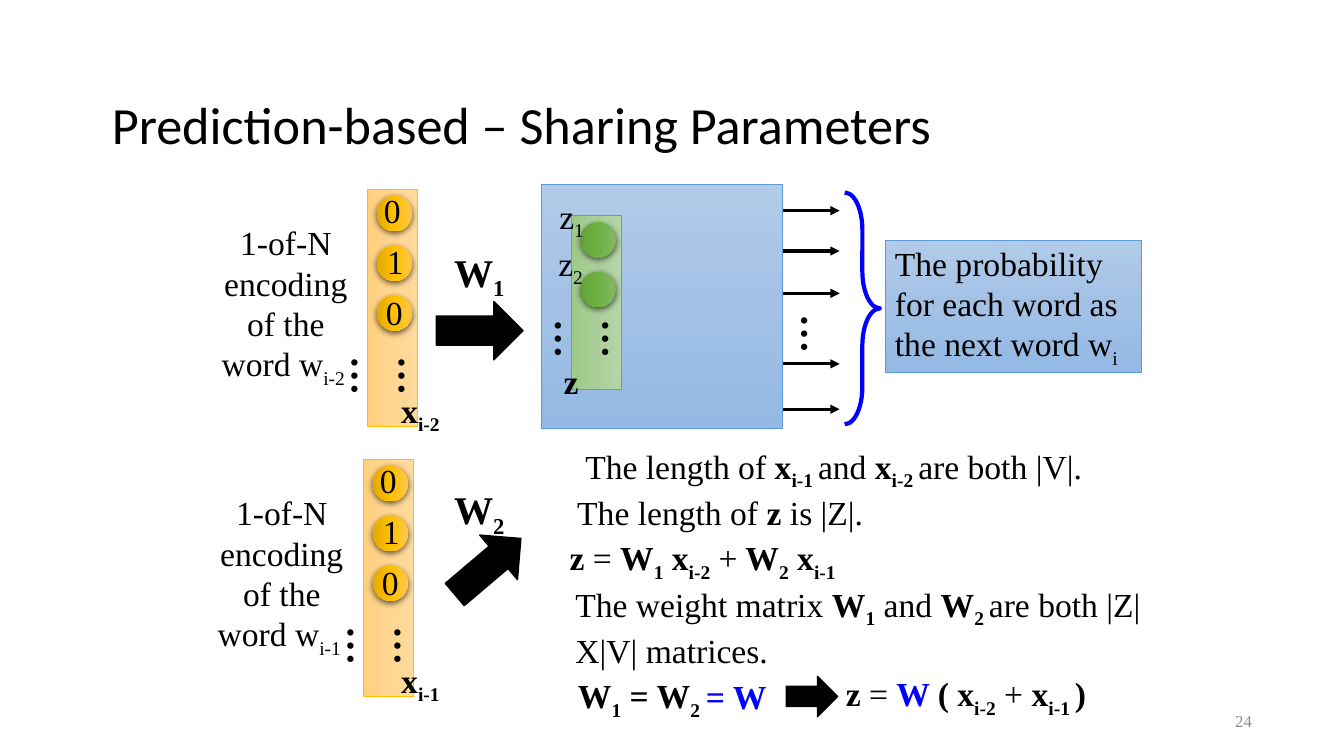
"""Build the slide on sharing parameters in prediction-based word embedding."""
from copy import deepcopy
from dataclasses import dataclass
from itertools import groupby
from typing import Iterator

from lxml import etree
from pptx import Presentation
from pptx import util as u
from pptx.dml.color import RGBColor
from pptx.enum import shapes, text
from pptx.oxml.ns import qn

COLUMNS, ROWS = 133.33, 75
CELL = u.Inches(0.1)
SERIF = "Times New Roman"
BLACK, BLUE = "000000", "0000FF"
BOLD, SUBSCRIPT, ACCENT = "*", "~", "^"
CIRCLE_STEP = 4.93
Kind = shapes.MSO_SHAPE
Align = text.PP_ALIGN


@dataclass(frozen=True)
class Box:
    left: float
    top: float
    cols: float
    rows: float

    def lengths(self) -> list[int]:
        return [cells(n) for n in (self.left, self.top, self.cols, self.rows)]


@dataclass(frozen=True)
class Theme:
    fill: tuple[str, str, str]
    line: str | None = None


@dataclass(frozen=True)
class Label:
    box: Box
    markup: str
    size: float = 24
    align: Align = Align.CENTER
    color: str = BLACK
    font: str = SERIF
    turn: float = 0
    flush: bool = False


@dataclass(frozen=True)
class Arrow:
    box: Box
    turn: float = 0


@dataclass(frozen=True)
class Encoder:
    left: float
    top: float
    word: str


BLUE_PANEL = Theme(("B1CBE9", "A3C1E5", "93B9E4"), "5B9BD5")
ORANGE_BAR = Theme(("FFDB9E", "FFD590", "FFD07C"), "FFC000")
ORANGE_CIRCLE = Theme(("FFC64B", "FFC000", "E3AB00"))
GREEN_BAR = Theme(("B5D5A7", "AACE9A", "9CC987"), "70AD47")
GREEN_CIRCLE = Theme(("81B861", "6FB242", "62A336"))

TITLE = Label(Box(11.1, 9.4, 115, 5.7), "Prediction-based – Sharing Parameters",
              37.3, Align.LEFT, font="Calibri", flush=True)
OUTPUT_DOTS = Label(Box(78.2, 30.2, 5.7, 5.7), "*…", 28, Align.LEFT, turn=90)
OUTPUT_ROWS = (20.9, 24.9, 29.1, 36.1, 40.6)
ENCODERS = (Encoder(36.45, 18.75, "i-2"), Encoder(36.05, 45.55, "i-1"))
DIGITS = (("0", 0.65), ("1", 0.95), ("0", 0.85))
ARROWS = (
    Arrow(Box(43.3, 29.9, 8.6, 5.8)),
    Arrow(Box(44.1, 53.3, 8.6, 5.8), 319.7),
    Arrow(Box(78, 67.1, 5.1, 4)),
)
LABELS = (
    Label(Box(54.5, 18.9, 6, 5), "z~1", align=Align.LEFT),
    Label(Box(54.4, 23.6, 6, 5), "z~2", align=Align.LEFT),
    Label(Box(52.9, 35.3, 7.5, 5), "*z"),
    Label(Box(43.8, 24.1, 7.5, 5.7), "*W~1 ", 28),
    Label(Box(43.8, 47.7, 7.5, 5.7), "*W~2 ", 28),
    Label(Box(55.5, 43.7, 54.4, 5), "The length of *x~i-1 *~and* x~i-2 *~are both |V|."),
    Label(Box(55.3, 48.3, 32.3, 5), "The length of *z *is |Z|."),
    Label(Box(53.8, 52.8, 32.3, 5), "*z *= *W~1~ x~i-2~* +* W~2~ x~i-1 "),
    Label(Box(56.1, 57.4, 59.7, 9.1),
          "The weight matrix *W~1*~ and *W~2 *~are both |Z|X|V| matrices.", align=Align.LEFT),
    Label(Box(54.9, 66.5, 16.5, 5), "*~ ~W~1~ = W~2"),
    Label(Box(68, 66.6, 9.6, 5), "*~ ~= W", color=BLUE),
    Label(Box(80.1, 66.3, 32.3, 5), "*z *= *^W ^( x~i-2~* +* x~i-1 ~) "),
    Label(Box(94.2, 69.5, 30, 4), "24", 12, Align.RIGHT, "8C8C8C", flush=True),
)


def cells(count: float) -> int:
    return round(count * CELL)


def rgb(code: str) -> RGBColor:
    return RGBColor.from_string(code)


def split_markup(markup: str) -> Iterator[tuple[str, set[str]]]:
    style: set[str] = set()
    for is_mark, chars in groupby(markup, lambda char: char in BOLD + SUBSCRIPT + ACCENT):
        if is_mark:
            style = style ^ set(chars)
        else:
            yield "".join(chars), style


def write(shape, label: Label) -> None:
    frame = shape.text_frame
    frame.word_wrap = True
    if label.flush:
        frame.margin_left = frame.margin_right = frame.margin_top = frame.margin_bottom = 0
        frame.vertical_anchor = text.MSO_ANCHOR.MIDDLE
    for index, line in enumerate(label.markup.split("\n")):
        para = frame.paragraphs[0] if index == 0 else frame.add_paragraph()
        para.alignment = label.align
        para.font.name, para.font.size = label.font, u.Pt(label.size)
        para.font.color.rgb = rgb(label.color)
        for words, style in split_markup(line):
            span = para.add_run()
            span.text = words
            span.font.bold = BOLD in style
            span.font.color.rgb = rgb(BLUE if ACCENT in style else label.color)
            if SUBSCRIPT in style:
                span.font._element.set("baseline", "-25000")


def add_label(page, label: Label) -> None:
    shape = page.shapes.add_textbox(*label.box.lengths())
    shape.rotation = label.turn
    write(shape, label)


def add_gradient(page, kind: Kind, box: Box, theme: Theme, turn: float = 0):
    shape = page.shapes.add_shape(kind, *box.lengths())
    shape.rotation = turn
    shape.shadow.inherit = False
    shape.fill.gradient()
    shape.fill.gradient_angle = 270
    stop_list = shape._element.spPr.find(".//" + qn("a:gsLst"))
    stop_list.insert(1, deepcopy(stop_list[0]))
    for stop, color, position in zip(shape.fill.gradient_stops, theme.fill, (0, 0.5, 1)):
        stop.color.rgb, stop.position = rgb(color), position
    if theme.line:
        shape.line.color.rgb, shape.line.width = rgb(theme.line), u.Pt(0.5)
    else:
        shape.line.fill.background()
    return shape


def add_circle(page, box: Box, theme: Theme) -> None:
    circle = add_gradient(page, Kind.OVAL, box, theme, 90)
    effects = circle._element.spPr.find(qn("a:effectLst"))
    shadow = etree.SubElement(effects, qn("a:outerShdw"), blurRad=str(u.Pt(4.5)),
                              dist=str(u.Pt(1.5)), dir="5400000", rotWithShape="0")
    color = etree.SubElement(shadow, qn("a:srgbClr"), val=BLACK)
    etree.SubElement(color, qn("a:alpha"), val="63000")


def add_neurons(page, left: float, top: float, height: float, count: int,
                bar: Theme, circle: Theme) -> None:
    half = height / 2
    add_gradient(page, Kind.RECTANGLE, Box(left + 2.5 - half, top + half - 2.5, height, 5), bar, 90)
    for index in range(count):
        add_circle(page, Box(left + 0.95, top + 0.7 + CIRCLE_STEP * index, 3.5, 3.5), circle)
    add_label(page, Label(Box(left, top + height - 6.1, 9.3, 5.7), "*……", 28, Align.LEFT, turn=90))


def add_encoder(page, encoder: Encoder) -> None:
    left, top = encoder.left, encoder.top
    caption = f"1-of-N encoding\nof the word w~{encoder.word} "
    add_label(page, Label(Box(left - 16.65, top + 2.8, 17.1, 17.2), caption))
    add_neurons(page, left, top, 23.5, len(DIGITS), ORANGE_BAR, ORANGE_CIRCLE)
    for index, (digit, shift) in enumerate(DIGITS):
        box = Box(left + shift, top - 0.4 + 5.05 * index, 4.3, 5)
        add_label(page, Label(box, digit, align=Align.LEFT))
    add_label(page, Label(Box(38.2, top + 19.4, 7.5, 5), f"*x~{encoder.word} "))


def add_output_arrow(page, row: float) -> None:
    ends = [cells(n) for n in (75, row, 83.3, row)]
    line = page.shapes.add_connector(shapes.MSO_CONNECTOR.STRAIGHT, *ends)
    line.line.color.rgb, line.line.width = rgb(BLACK), u.Pt(2.25)
    etree.SubElement(line.line._get_or_add_ln(), qn("a:tailEnd"), type="triangle")
    etree.SubElement(line._element.spPr, qn("a:effectLst"))


def add_block_arrow(page, arrow: Arrow) -> None:
    shape = page.shapes.add_shape(Kind.RIGHT_ARROW, *arrow.box.lengths())
    shape.rotation = arrow.turn
    shape.shadow.inherit = False
    shape.fill.solid()
    shape.fill.fore_color.rgb = shape.line.color.rgb = rgb(BLACK)
    shape.line.width = u.Pt(1)


def add_outputs(page) -> None:
    brace = page.shapes.add_shape(Kind.RIGHT_BRACE, *Box(83.8, 19.1, 3.5, 23).lengths())
    brace.adjustments[0] = 1.05
    brace.shadow.inherit = False
    brace.fill.background()
    brace.line.color.rgb, brace.line.width = rgb(BLUE), u.Pt(3)
    for row in OUTPUT_ROWS:
        add_output_arrow(page, row)
    add_label(page, OUTPUT_DOTS)
    box = Box(87.8, 23.8, 25.4, 13.1)
    result = add_gradient(page, Kind.RECTANGLE, box, BLUE_PANEL)
    write(result, Label(box, "The probability for each word as the next word w~i", align=Align.LEFT))


def main() -> None:
    deck = Presentation()
    deck.slide_width, deck.slide_height = cells(COLUMNS), cells(ROWS)
    page = deck.slides.add_slide(deck.slide_layouts[6])
    add_label(page, TITLE)
    add_outputs(page)
    add_gradient(page, Kind.RECTANGLE, Box(53.7, 18.3, 23.9, 24.2), BLUE_PANEL)
    for encoder in ENCODERS:
        add_encoder(page, encoder)
    add_neurons(page, 56.65, 21.35, 17.3, 2, GREEN_BAR, GREEN_CIRCLE)
    for arrow in ARROWS:
        add_block_arrow(page, arrow)
    for label in LABELS:
        add_label(page, label)
    deck.save("out.pptx")


if __name__ == "__main__":
    main()
